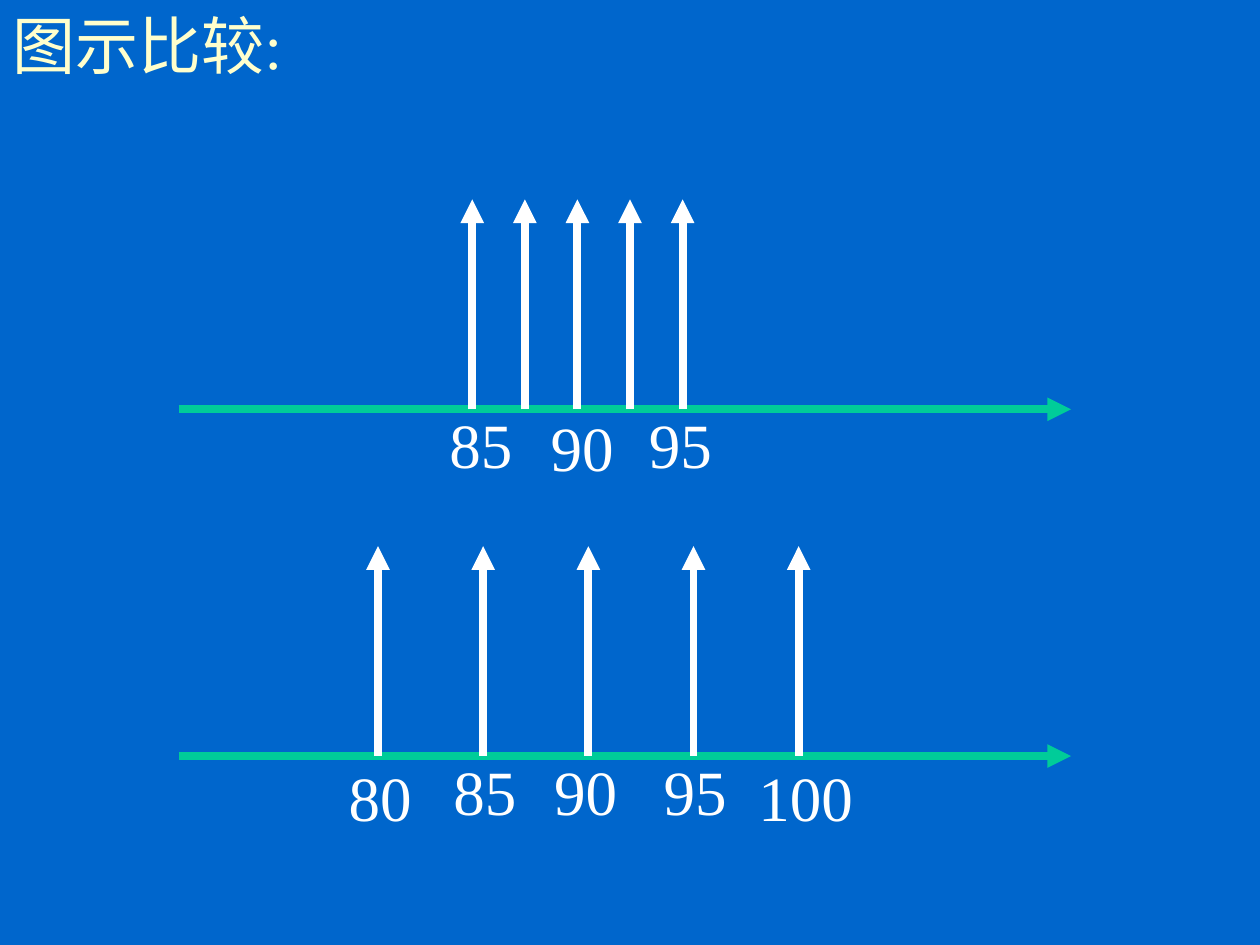
"""Builds a slide comparing the spread of two sets of scores on number lines."""
from lxml import etree
from pptx import Presentation
from pptx.dml.color import RGBColor
from pptx.enum.shapes import MSO_CONNECTOR as CONN
from pptx.enum.text import MSO_ANCHOR as ANCHOR, PP_ALIGN as ALIGN
from pptx.oxml.ns import qn
from pptx.util import Cm, Pt

TITLE = "图示比较:"
FONT, SIZE = "Times New Roman", 36
BLUE, CREAM, GREEN, WHITE = "0066CC", "FFFFCC", "00CC99", "FFFFFF"
AXIS_LEFT, AXIS_RIGHT = 3.6, 21.59
ARROW_HEIGHT, ARROW_COUNT = 4.23, 5
LABEL_HEIGHT = 1.78
NUMBER_LINES = [
    {"y": 8.25, "first": 9.52, "step": 1.06,
     "labels": [("85", 8.81, 8.05), ("90", 10.85, 8.1), ("95", 12.83, 8.05)]},
    {"y": 15.24, "first": 7.62, "step": 2.12,
     "labels": [("80", 6.78, 15.16), ("85", 8.89, 15.04), ("90", 10.92, 15.04),
                ("95", 13.13, 15.04), ("100", 15.04, 15.16)]},
]


def rgb(color):
    return RGBColor.from_string(color)


def set_font(p, color):
    p.alignment = ALIGN.LEFT
    p.font.name, p.font.size = FONT, Pt(SIZE)
    p.font.color.rgb = rgb(color)


def add_arrow(shapes, x1, y1, x2, y2, color):
    s = shapes.add_connector(CONN.STRAIGHT, Cm(x1), Cm(y1), Cm(x2), Cm(y2))
    s.line.width = Pt(4.5)
    s.line.color.rgb = rgb(color)
    etree.SubElement(s.line._get_or_add_ln(), qn("a:tailEnd"), type="triangle")
    etree.SubElement(s._element.spPr, qn("a:effectLst"))


def add_label(shapes, text, left, top):
    width = 0.5 + 0.64 * len(text)
    tf = shapes.add_textbox(Cm(left), Cm(top), Cm(width), Cm(LABEL_HEIGHT)).text_frame
    tf.word_wrap = False
    tf.vertical_anchor = ANCHOR.BOTTOM
    tf.text = text
    set_font(tf.paragraphs[0], WHITE)


def add_number_line(shapes, y, first, step, labels):
    add_arrow(shapes, AXIS_LEFT, y, AXIS_RIGHT, y, GREEN)
    group = shapes.add_group_shape()
    for i in range(ARROW_COUNT):
        x = first + i * step
        add_arrow(group.shapes, x, y, x, y - ARROW_HEIGHT, WHITE)
    for label in labels:
        add_label(shapes, *label)


def main():
    prs = Presentation()
    prs.slide_width, prs.slide_height = Cm(25.4), Cm(19.05)
    slide = prs.slides.add_slide(prs.slide_layouts[5])
    fill = slide.background.fill
    fill.solid()
    fill.fore_color.rgb = rgb(BLUE)

    title = slide.shapes.title
    title.left, title.top, title.width, title.height = Cm(0), Cm(0), Cm(24.77), Cm(2.33)
    title.text = TITLE
    title.text_frame.vertical_anchor = ANCHOR.TOP
    set_font(title.text_frame.paragraphs[0], CREAM)

    for line in NUMBER_LINES:
        add_number_line(slide.shapes, **line)
    prs.save("out.pptx")


if __name__ == "__main__":
    main()
